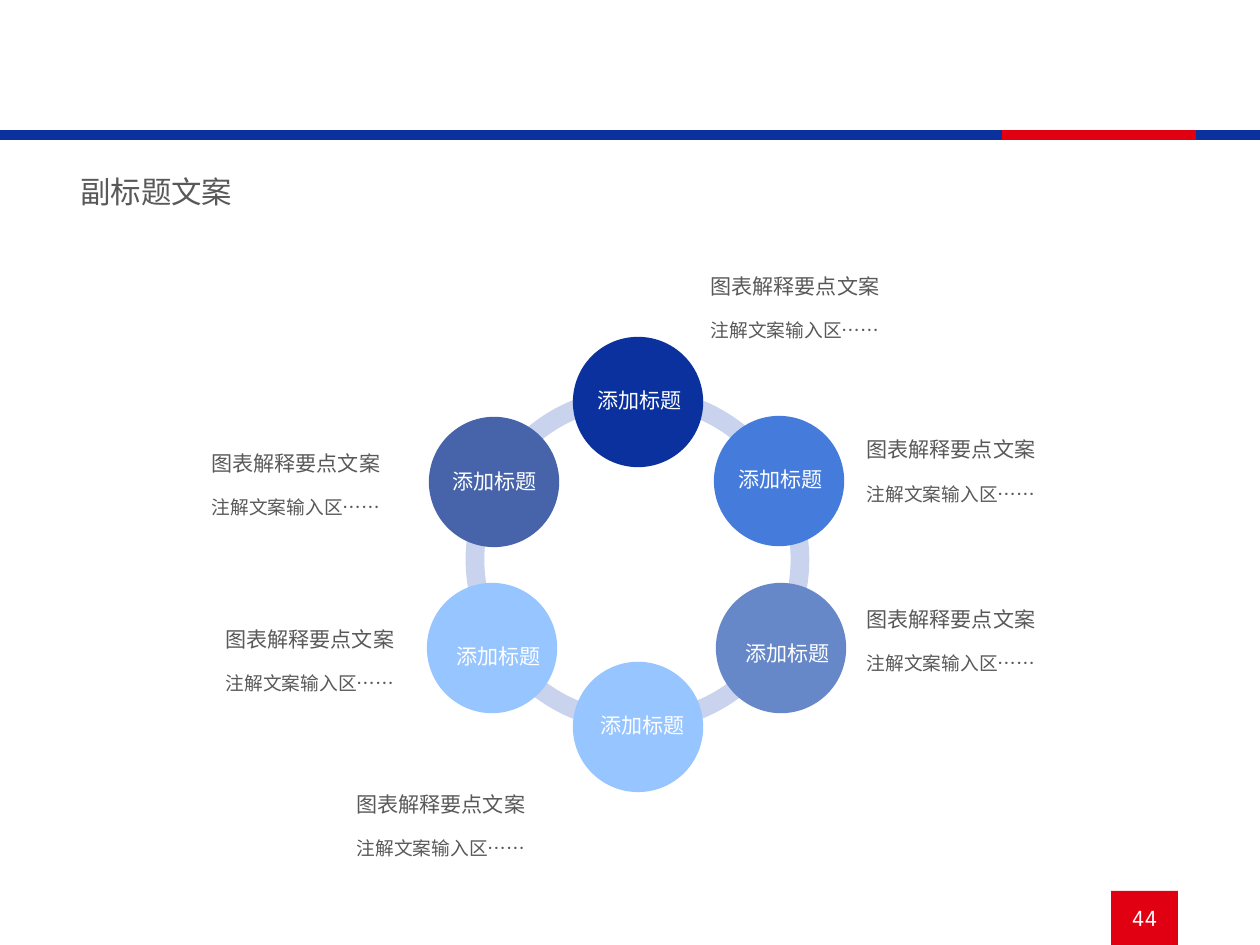
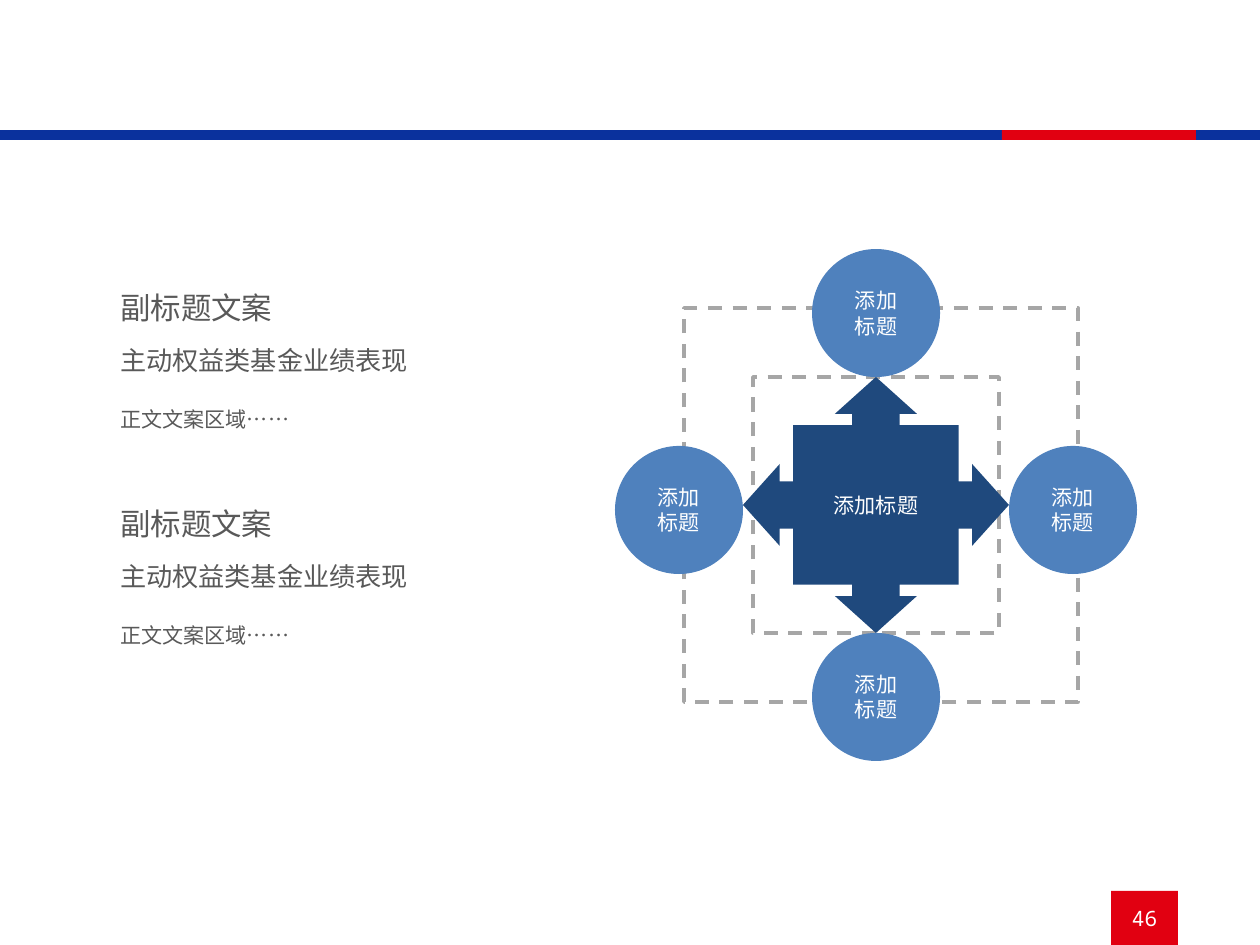
from pptx import Presentation
from pptx.dml.color import RGBColor
from pptx.enum.dml import MSO_LINE
from pptx.enum.shapes import MSO_SHAPE
from pptx.enum.text import MSO_ANCHOR, PP_ALIGN
from pptx.oxml.ns import qn
from pptx.util import Pt

RECT, OVAL = MSO_SHAPE.RECTANGLE, MSO_SHAPE.OVAL
NODE, CROSS = MSO_SHAPE.FLOWCHART_CONNECTOR, MSO_SHAPE.QUAD_ARROW_CALLOUT
DASH, MIDDLE, CENTER = MSO_LINE.DASH, MSO_ANCHOR.MIDDLE, PP_ALIGN.CENTER

SCALE = 5430
WIDE, HIGH = 1260, 945
BLUE, RED, WHITE, GRAY = "0A319D", "E10011", "FFFFFF", "595959"
NAVY, STEEL, RING, EDGE = "1F497D", "4F81BD", "C9D3EE", "A6A6A6"
SANS, MONO = "Noto Sans CJK SC", "Noto Sans Mono"

BANDS = [((0, 130, WIDE, 10), BLUE), ((1002, 130, 194, 10), RED)]
PAGE = (1111, 891, 67, 54)

HEAD = "副标题文案"
LABEL = "添加标题"
NOTE = [("图表解释要点文案", 9), ("注解文案输入区……", 8)]
DISC = 128
CYCLE = [
    ((574, 338), BLUE, (581, 377), (694, 263)),
    ((715, 417), "457BDA", (722, 456), (850, 426)),
    ((717, 584), "6687C8", (729, 630), (850, 596)),
    ((574, 663), "96C5FF", (584, 702), (340, 781)),
    ((428, 584), "96C5FF", (440, 633), (209, 616)),
    ((430, 418), "4764AA", (436, 458), (195, 440)),
]

FRAMES = [(753, 377, 246, 256), (684, 308, 394, 394)]
CORE = (743, 377, 266, 256)
TURNS = [0.185, 0.16, 0.144, 0.623]
NODES = [(615, 446), (812, 249), (812, 633), (1009, 446)]
BLOCK = [
    (HEAD, 13, 278, 295, 56),
    ("主动权益类基金业绩表现", 11.2, 333, 327, 49),
    ("正文文案区域……", 9, 396, 295, 67),
]
BLOCK_X, BLOCK_STEP, BLOCKS = 104, 216, 2


def px(*vals):
    return [round(v * SCALE) for v in vals]


def color(hexa):
    return RGBColor.from_string(hexa)


def style(par, size, tint, font=SANS, lead=1.3):
    par.line_spacing = Pt(round(size * lead, 1))
    for run in par.runs:
        run.font.size = Pt(size)
        run.font.color.rgb = color(tint)
        run.font.name = font
        east = run.font._element.makeelement(qn("a:ea"), {"typeface": font})
        run.font._element.find(qn("a:latin")).addnext(east)


def shape(slide, kind, box, fill=None, line=None, width=1):
    item = slide.shapes.add_shape(kind, *px(*box))
    item.shadow.inherit = False
    if fill:
        item.fill.solid()
        item.fill.fore_color.rgb = color(fill)
    else:
        item.fill.background()
    if line:
        item.line.color.rgb = color(line)
        item.line.width = Pt(width)
    else:
        item.line.fill.background()
    return item


def caption(item, text, font=SANS):
    frame = item.text_frame
    frame.text = text
    frame.word_wrap = True
    frame.vertical_anchor = MIDDLE
    par = frame.paragraphs[0]
    par.alignment = CENTER
    style(par, 9, WHITE, font, 1.2)


def text(slide, box, rows, tint=GRAY, wrap=True):
    frame = slide.shapes.add_textbox(*px(*box)).text_frame
    frame.word_wrap = wrap
    for i, (words, size) in enumerate(rows):
        par = frame.add_paragraph() if i else frame.paragraphs[0]
        par.text = words
        style(par, size, tint)
        if i:
            par.space_before = Pt(8)


def start(deck, number):
    slide = deck.slides.add_slide(deck.slide_layouts[6])
    for box, fill in BANDS:
        shape(slide, RECT, box, fill)
    caption(shape(slide, RECT, PAGE, RED), number, MONO)
    return slide


def cycle(deck):
    slide = start(deck, "44")
    text(slide, (64, 162, 266, 56), [(HEAD, 13)])
    shape(slide, OVAL, (475, 397, 325, 325), line=RING, width=8)
    for disc, fill, _, _ in CYCLE:
        shape(slide, OVAL, (*disc, DISC, DISC), fill, fill)
    for _, _, label, note in CYCLE:
        text(slide, (*label, 120, 42), [(LABEL, 9)], WHITE, False)
        text(slide, (*note, 230, 86), NOTE)


def cross(deck):
    slide = start(deck, "46")
    for box in FRAMES:
        shape(slide, RECT, box, line=EDGE, width=1.5).line.dash_style = DASH
    core = shape(slide, CROSS, CORE, NAVY)
    for i, turn in enumerate(TURNS):
        core.adjustments[i] = turn
    caption(core, LABEL)
    for spot in NODES:
        caption(shape(slide, NODE, (*spot, DISC, DISC), STEEL), LABEL)
    for i in range(BLOCKS):
        for words, size, top, wide, high in BLOCK:
            box = (BLOCK_X, top + i * BLOCK_STEP, wide, high)
            text(slide, box, [(words, size)])


def main():
    deck = Presentation()
    deck.slide_width, deck.slide_height = px(WIDE, HIGH)
    cycle(deck)
    cross(deck)
    deck.save("out.pptx")


if __name__ == "__main__":
    main()
